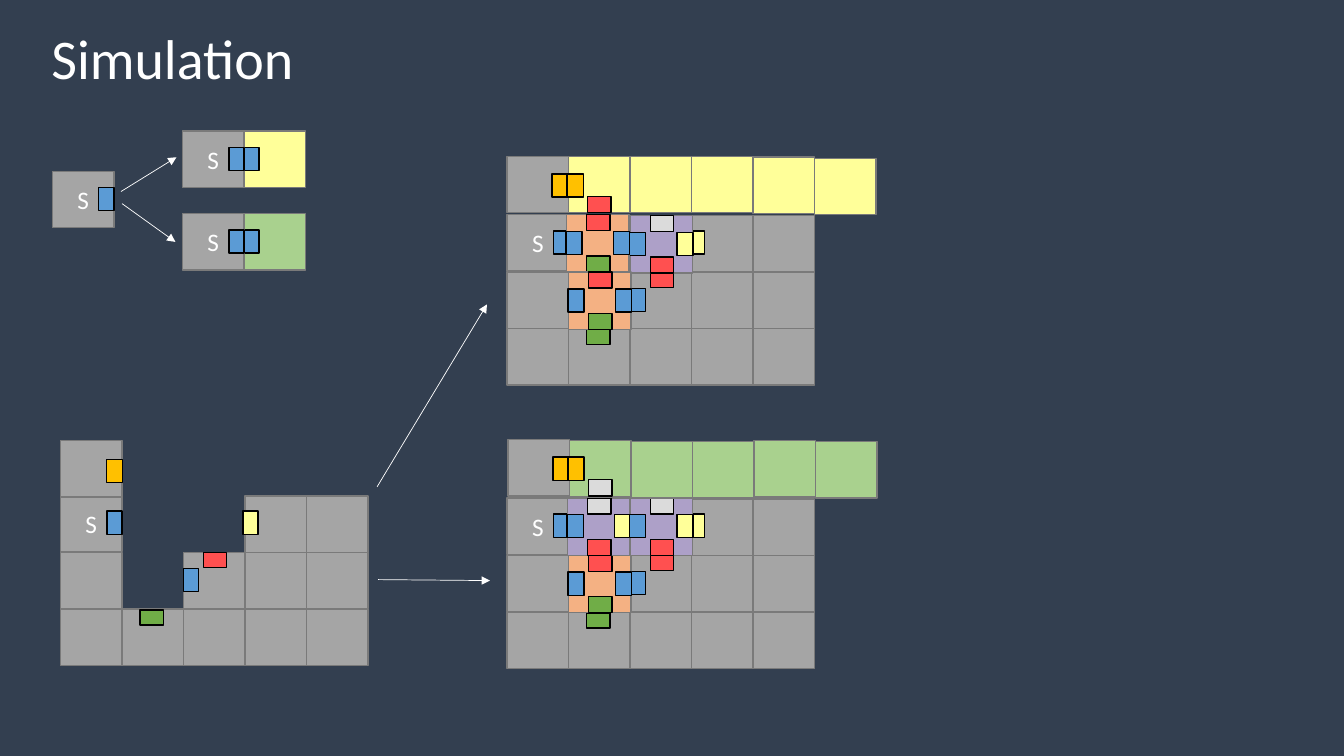
from dataclasses import dataclass

from lxml.etree import SubElement
from pptx import Presentation
from pptx.dml.color import RGBColor
from pptx.enum.shapes import MSO_CONNECTOR, MSO_SHAPE
from pptx.enum.text import MSO_ANCHOR, MSO_AUTO_SIZE, PP_ALIGN
from pptx.oxml.ns import qn
from pptx.util import Emu, Pt

EMU_PER_PX = 9144
TILE_WIDTH, TILE_HEIGHT = 61, 56
ROW_TOPS = (0, 57, 113)
BOARD_CELLS = ((0, 1), (0, 2), (1, 2), (2, 2), (3, 2), (4, 2),
               (4, 1), (4, 0), (3, 0), (3, 1), (2, 1))


@dataclass(frozen=True)
class Theme:
    font: str = "Calibri"
    title_size: int = 40
    label_size: int = 18
    outline: float = 1
    arrow: float = 0.5
    background: str = "333F50"
    text: str = "FFFFFF"
    tile_line: str = "7A7A7A"
    tab_line: str = "000000"
    gray: str = "A5A5A5"
    yellow: str = "FFFF99"
    light_green: str = "A9D18E"
    orange: str = "F4B183"
    purple: str = "ADA0C8"
    blue: str = "5B9BD5"
    green: str = "70AD47"
    red: str = "FF5050"
    white: str = "DBDBDB"
    gold: str = "FFC000"


def px(length):
    return Emu(length * EMU_PER_PX)


def rgb(value):
    return RGBColor.from_string(value)


class SimulationSlide:
    def __init__(self, presentation, theme):
        self.theme = theme
        self.slide = presentation.slides.add_slide(presentation.slide_layouts[5])
        fill = self.slide.background.fill
        fill.solid()
        fill.fore_color.rgb = rgb(theme.background)

    def add_run(self, paragraph, text, size):
        run = paragraph.add_run()
        run.text = text
        run.font.name = self.theme.font
        run.font.size = Pt(size)
        run.font.color.rgb = rgb(self.theme.text)

    def title(self, text, left, top, width, height):
        shape = self.slide.shapes.title
        shape.left, shape.top = px(left), px(top)
        shape.width, shape.height = px(width), px(height)
        frame = shape.text_frame
        frame.word_wrap = False
        frame.auto_size = MSO_AUTO_SIZE.SHAPE_TO_FIT_TEXT
        frame.vertical_anchor = MSO_ANCHOR.TOP
        paragraph = frame.paragraphs[0]
        paragraph.alignment = PP_ALIGN.LEFT
        self.add_run(paragraph, text, self.theme.title_size)

    def rectangle(self, left, top, width, height, color, line):
        shape = self.slide.shapes.add_shape(
            MSO_SHAPE.RECTANGLE, px(left), px(top), px(width), px(height))
        shape.shadow.inherit = False
        shape.fill.solid()
        shape.fill.fore_color.rgb = rgb(color)
        shape.line.color.rgb = rgb(line)
        shape.line.width = Pt(self.theme.outline)
        return shape

    def tile(self, left, top, color, label=None, width=TILE_WIDTH, height=TILE_HEIGHT):
        shape = self.rectangle(left, top, width, height, color, self.theme.tile_line)
        if label:
            shape.text_frame.vertical_anchor = MSO_ANCHOR.MIDDLE
            paragraph = shape.text_frame.paragraphs[0]
            paragraph.alignment = PP_ALIGN.CENTER
            self.add_run(paragraph, label, self.theme.label_size)

    def tab(self, left, top, color, sideways=False, thickness=15):
        shape = self.rectangle(left, top, 23, thickness, color, self.theme.tab_line)
        if sideways:
            shape.rotation = 270

    def arrow(self, start, end):
        connector = self.slide.shapes.add_connector(
            MSO_CONNECTOR.STRAIGHT, *map(px, start + end))
        connector.line.color.rgb = rgb(self.theme.text)
        connector.line.width = Pt(self.theme.arrow)
        SubElement(connector.line._get_or_add_ln(), qn("a:tailEnd"), type="triangle")
        SubElement(connector._element.spPr, qn("a:effectLst"))

    def seed(self, left, top):
        self.tile(left, top, self.theme.gray, "S")
        self.tab(left + 42, top + 20, self.theme.blue, sideways=True)

    def seed_pair(self, left, top, neighbor_color):
        self.tile(left + TILE_WIDTH, top, neighbor_color)
        self.tab(left + 57, top + 20, self.theme.blue, sideways=True)
        self.seed(left, top)

    def board(self, left, top):
        theme = self.theme
        self.seed(left, top)
        for column, row in BOARD_CELLS:
            nudge = 1 if row == 0 else 0
            self.tile(left + column * TILE_WIDTH, top + ROW_TOPS[row] + nudge, theme.gray)
        self.tab(left + 79, top + 114, theme.green)
        self.tab(left + 177, top + 20, theme.yellow, sideways=True)
        self.tab(left + 118, top + 77, theme.blue, sideways=True)
        self.tab(left + 142, top + 57, theme.red)

    def piece(self, left, top, color, right_tab, bottom_tab, top_tab):
        self.tile(left, top, color, width=62, height=57)
        self.tab(left + 43, top + 20, right_tab, sideways=True, thickness=16)
        self.tab(left - 4, top + 20, self.theme.blue, sideways=True, thickness=16)
        self.tab(left + 20, top + 41, bottom_tab, thickness=16)
        self.tab(left + 20, top, top_tab, thickness=16)

    def orange_piece(self, left, top):
        theme = self.theme
        self.piece(left, top, theme.orange, theme.blue, theme.green, theme.red)

    def purple_piece(self, left, top):
        theme = self.theme
        self.piece(left, top, theme.purple, theme.yellow, theme.red, theme.white)

    def strip(self, left, tops, color, bottom_tab):
        for column, top in enumerate(tops):
            self.tile(left + column * TILE_WIDTH, top,
                      color if column else self.theme.gray)
        self.tab(left + 80, tops[0] + 40, bottom_tab, thickness=16)
        for offset in (41, 56):
            self.tab(left + offset, tops[0] + 21, self.theme.gold,
                     sideways=True, thickness=16)


def main():
    presentation = Presentation()
    presentation.slide_width, presentation.slide_height = px(1333), px(750)
    theme = Theme()
    page = SimulationSlide(presentation, theme)
    page.title("Simulation", 41, 18, 263, 77)

    page.seed(52, 170)
    page.seed_pair(181, 130, theme.yellow)
    page.seed_pair(181, 212, theme.light_green)

    page.board(60, 491)
    page.tile(60, 437, theme.gray)
    page.tab(102, 459, theme.gold, sideways=True, thickness=16)

    page.board(503, 494)
    page.orange_piece(564, 551)
    page.purple_piece(563, 494)
    page.purple_piece(625, 494)
    page.strip(504, (436, 437, 438, 438, 437, 438), theme.light_green, theme.white)

    page.board(503, 213)
    page.purple_piece(625, 214)
    page.orange_piece(562, 213)
    page.orange_piece(564, 270)
    page.strip(503, (155, 155, 155, 155, 156, 157), theme.yellow, theme.red)

    for start, end in (((120, 190), (175, 156)), ((121, 202), (174, 240)),
                       ((374, 483), (483, 302)), ((375, 575), (486, 576))):
        page.arrow(start, end)

    presentation.save("out.pptx")


if __name__ == "__main__":
    main()
